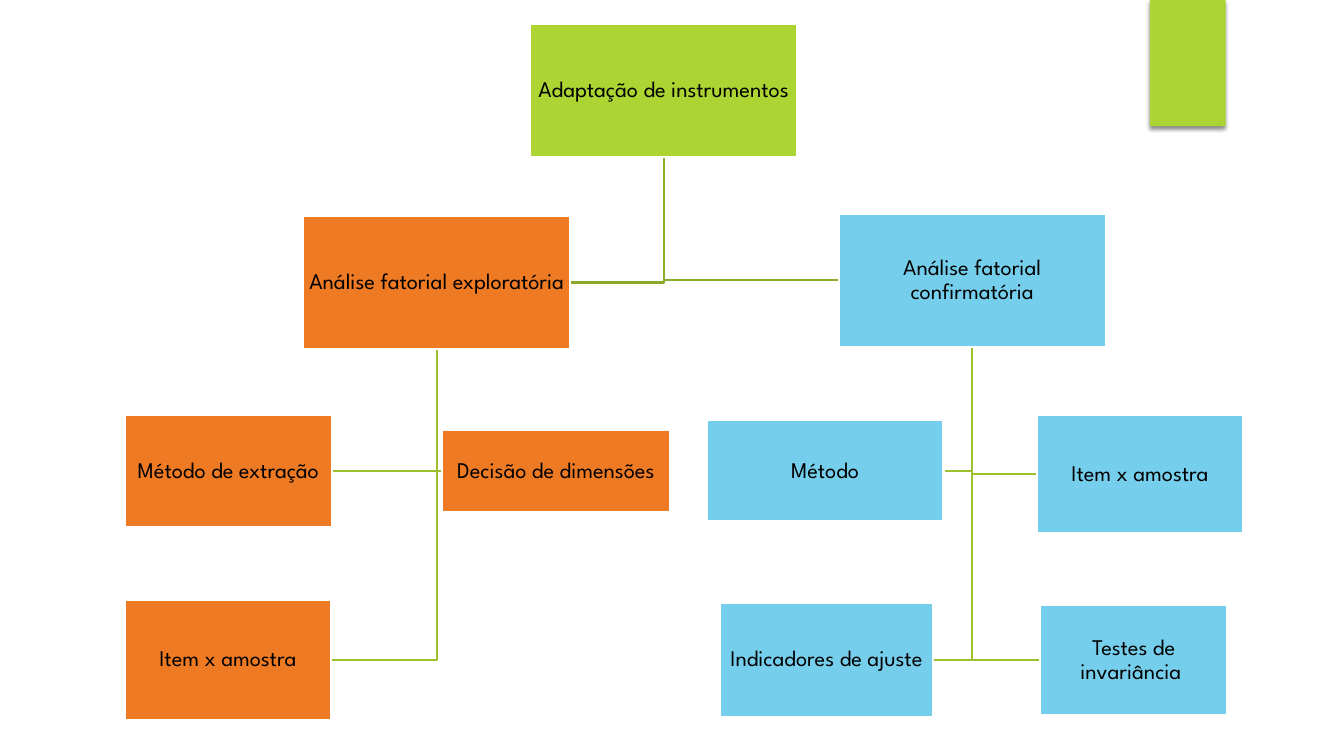
import dataclasses

import lxml.etree
import pptx
import pptx.dml.color
import pptx.enum.shapes
import pptx.enum.text
import pptx.oxml.ns
import pptx.util
from pptx.util import Cm

GREEN = pptx.dml.color.RGBColor(0xAC, 0xD4, 0x33)
ORANGE = pptx.dml.color.RGBColor(0xEF, 0x7A, 0x24)
BLUE = pptx.dml.color.RGBColor(0x75, 0xCE, 0xEC)
WHITE = pptx.dml.color.RGBColor(0xFF, 0xFF, 0xFF)
BLACK = pptx.dml.color.RGBColor(0x00, 0x00, 0x00)
UPPER_LINE = pptx.dml.color.RGBColor(0x8A, 0xAA, 0x29)
LOWER_LINE = pptx.dml.color.RGBColor(0x9C, 0xC0, 0x2E)

FONT = "League Spartan"
LINE_WIDTH = pptx.util.Pt(1.5)
RECTANGLE = pptx.enum.shapes.MSO_SHAPE.RECTANGLE
LEFT, RIGHT = -1, 1


@dataclasses.dataclass
class Topic:
    """A box of the tree; gap and drop run from its parent's bottom middle
    to the middle of its own nearer side. Lengths are in centimetres."""
    text: str
    fill: pptx.dml.color.RGBColor
    width: float = 6.73
    height: float = 3.35
    side: int = RIGHT
    gap: float = 0
    drop: float = 0
    branch_line: pptx.dml.color.RGBColor = LOWER_LINE
    subtopics: tuple = ()


EXPLORATORY = Topic(
    "Análise fatorial exploratória", ORANGE, side=LEFT, gap=2.35, drop=3.16,
    subtopics=(
        Topic("Método de extração", ORANGE, 5.23, 2.84, LEFT, 2.64, 3.07),
        Topic("Decisão de dimensões", ORANGE, 5.74, 2.08, RIGHT, 0.13, 3.07),
        Topic("Item x amostra", ORANGE, 5.21, 3.02, LEFT, 2.66, 7.83),
    ))
CONFIRMATORY = Topic(
    "Análise fatorial confirmatória", BLUE, side=RIGHT, gap=4.41, drop=3.1,
    subtopics=(
        Topic("Método", BLUE, 5.97, 2.54, LEFT, 0.72, 3.13),
        Topic("Item x amostra", BLUE, 5.18, 3, RIGHT, 1.64, 3.21),
        Topic("Indicadores de ajuste", BLUE, 5.36, 2.87, LEFT, 0.99, 7.89),
        Topic("Testes de invariância ", BLUE, 4.72, 2.79, RIGHT, 1.71, 7.9),
    ))
ADAPTATION = Topic("Adaptação de instrumentos", GREEN, branch_line=UPPER_LINE,
                   subtopics=(EXPLORATORY, CONFIRMATORY))


def add_elbow(slide, trunk_x, trunk_y, end_x, end_y, color):
    """Line down the trunk, then across to a subtopic."""
    builder = slide.shapes.build_freeform(Cm(trunk_x), Cm(trunk_y))
    builder.add_line_segments(
        [(Cm(trunk_x), Cm(end_y)), (Cm(end_x), Cm(end_y))], close=False)
    elbow = builder.convert_to_shape()
    elbow.shadow.inherit = False
    elbow.fill.background()
    elbow.line.color.rgb = color
    elbow.line.width = LINE_WIDTH


def add_topic_box(slide, left, top, topic):
    topic_box = slide.shapes.add_shape(
        RECTANGLE, Cm(left), Cm(top), Cm(topic.width), Cm(topic.height))
    topic_box.shadow.inherit = False
    topic_box.fill.solid()
    topic_box.fill.fore_color.rgb = topic.fill
    topic_box.line.color.rgb = WHITE
    topic_box.line.width = LINE_WIDTH

    frame = topic_box.text_frame
    frame.word_wrap = True
    frame.vertical_anchor = pptx.enum.text.MSO_ANCHOR.MIDDLE
    frame.margin_left = frame.margin_right = Cm(0.03)
    frame.margin_top = frame.margin_bottom = Cm(0.03)
    label = frame.paragraphs[0]
    label.text = topic.text
    label.alignment = pptx.enum.text.PP_ALIGN.CENTER
    label.line_spacing = 0.9
    label.font.name = FONT
    label.font.size = pptx.util.Pt(16)
    label.font.color.rgb = BLACK


def add_tree(slide, left, top, topic):
    """Topic box at the given corner, with all its subtopics below."""
    trunk_x = left + topic.width / 2
    trunk_y = top + topic.height

    # Branch lines lie behind the boxes
    for sub in topic.subtopics:
        add_elbow(slide, trunk_x, trunk_y, trunk_x + sub.side * sub.gap,
                  trunk_y + sub.drop, topic.branch_line)

    # Subtopics, each with its own branches
    for sub in topic.subtopics:
        near_edge = trunk_x + sub.side * sub.gap
        sub_left = near_edge if sub.side == RIGHT else near_edge - sub.width
        add_tree(slide, sub_left, trunk_y + sub.drop - sub.height / 2, sub)

    add_topic_box(slide, left, top, topic)


def add_corner_tab(slide, left, top, width, height):
    """Green tab at the top edge, with a soft shadow beneath."""
    tab = slide.shapes.add_shape(
        RECTANGLE, Cm(left), Cm(top), Cm(width), Cm(height))
    tab.shadow.inherit = False
    tab.fill.solid()
    tab.fill.fore_color.rgb = GREEN
    tab.line.fill.background()

    qn = pptx.oxml.ns.qn
    effects = tab.element.spPr.find(qn("a:effectLst"))
    shadow = lxml.etree.SubElement(
        effects, qn("a:outerShdw"), blurRad=str(pptx.util.Pt(3)),
        dist=str(pptx.util.Pt(2)), dir="5400000", rotWithShape="0")
    color = lxml.etree.SubElement(shadow, qn("a:srgbClr"), val=str(BLACK))
    lxml.etree.SubElement(color, qn("a:alpha"), val="45000")


def main():
    deck = pptx.Presentation()
    deck.slide_width = Cm(33.87)
    deck.slide_height = Cm(19.05)
    slide = deck.slides.add_slide(deck.slide_layouts[6])

    add_corner_tab(slide, 28.98, 0, 1.91, 3.18)
    add_tree(slide, 13.36, 0.61, ADAPTATION)

    deck.save("out.pptx")


if __name__ == "__main__":
    main()
